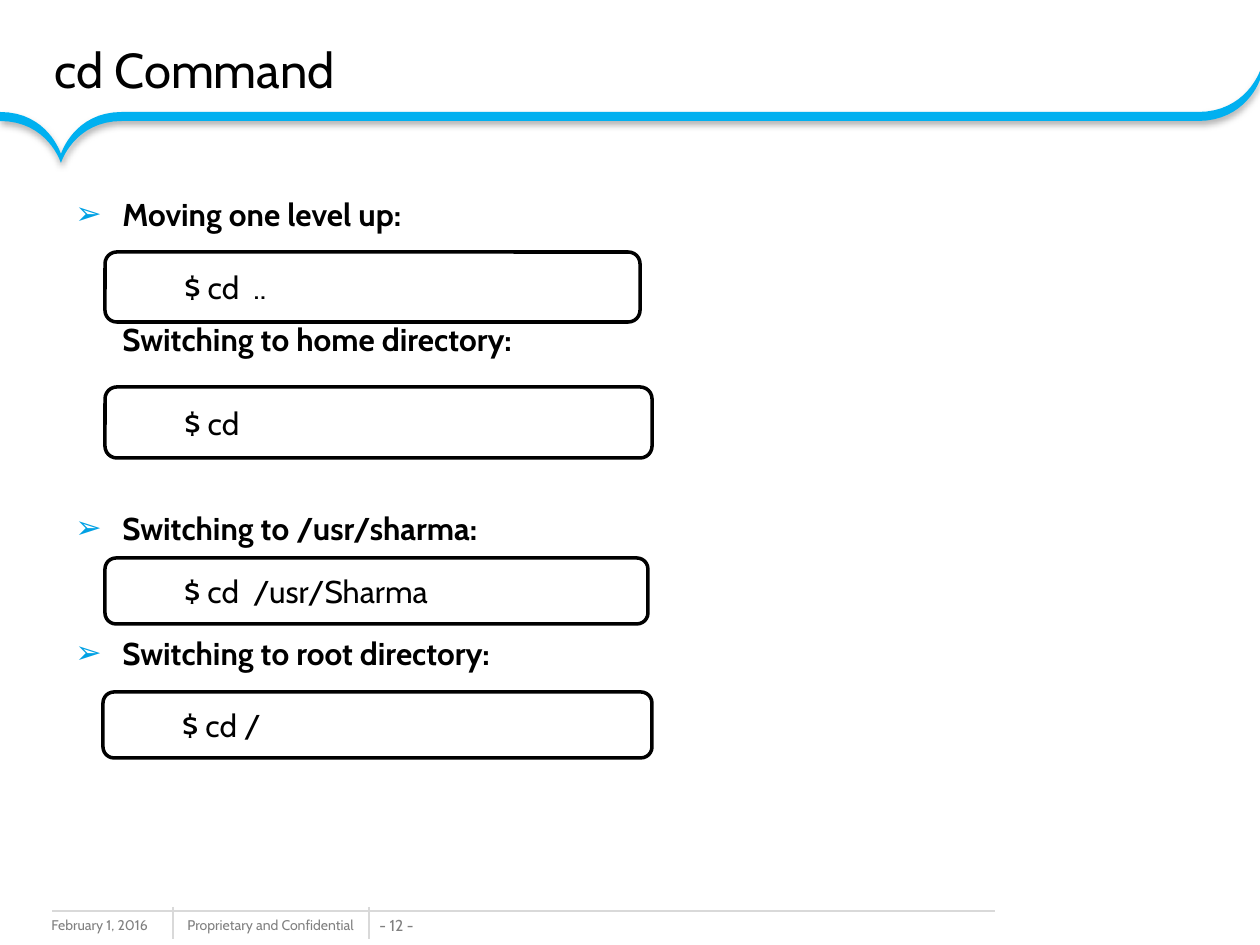
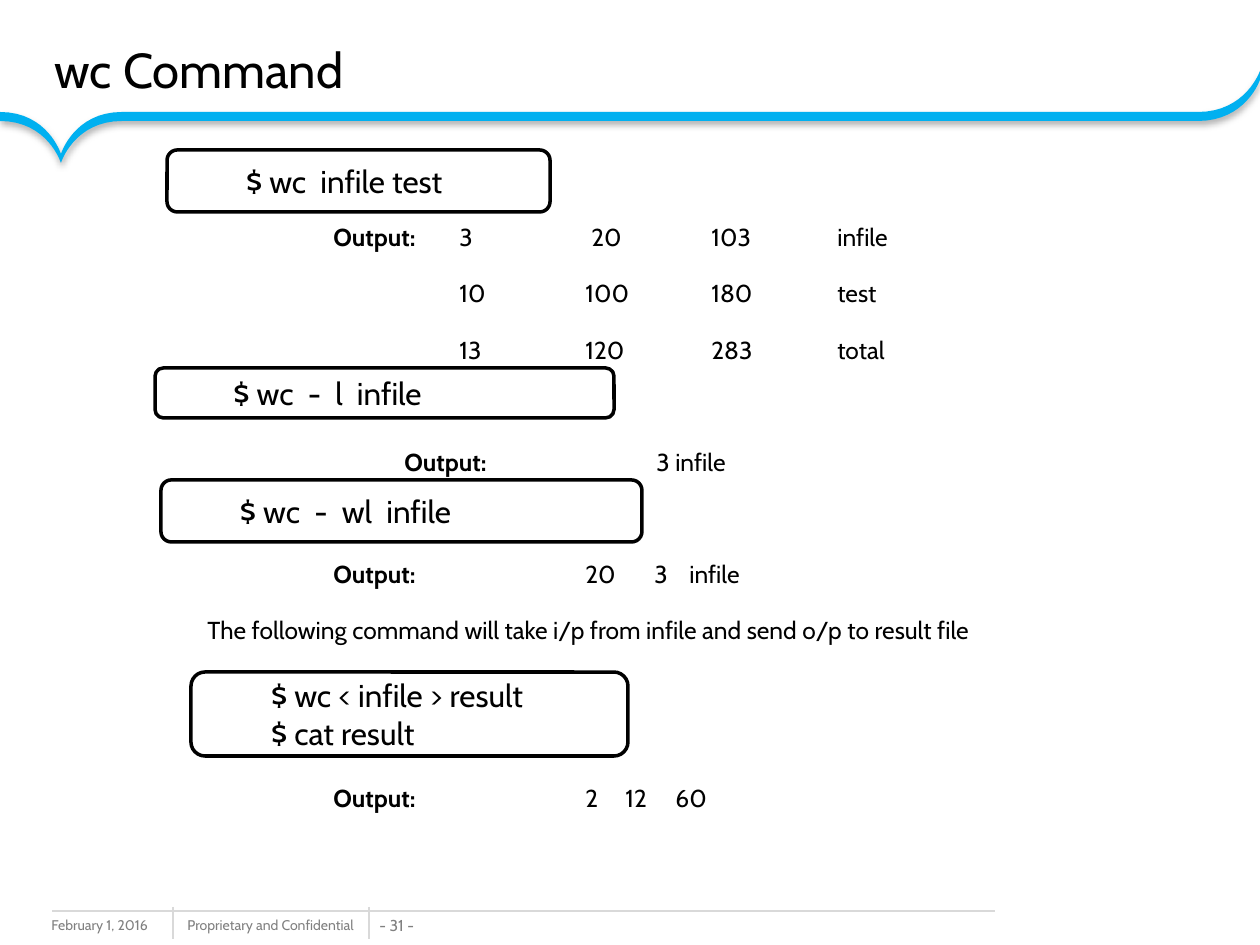
from dataclasses import dataclass

from lxml import etree
from pptx import Presentation
from pptx.dml.color import RGBColor
from pptx.enum.shapes import MSO_CONNECTOR, MSO_SHAPE
from pptx.enum.text import MSO_ANCHOR, MSO_AUTO_SIZE, PP_ALIGN
from pptx.oxml.ns import qn
from pptx.util import Pt

STRAIGHT = MSO_CONNECTOR.STRAIGHT
ROUNDED = MSO_SHAPE.ROUNDED_RECTANGLE
MIDDLE = MSO_ANCHOR.MIDDLE
TOP = MSO_ANCHOR.TOP
NO_FIT = MSO_AUTO_SIZE.NONE
LEFT = PP_ALIGN.LEFT


@dataclass(frozen=True)
class Theme:
    font: str = "Cabin"
    ink: str = "000000"
    paper: str = "FFFFFF"
    band: str = "00B0F0"
    bullet: str = "00A1E4"
    muted: str = "808080"
    rule: str = "D9D9D9"
    title: int = 28
    heading: int = 18
    output: int = 14
    page: int = 9
    footer: int = 8


theme = Theme()
SCALE = 914400 / 126  # EMU per pixel
TITLE_ONLY = 5
BAND_THICKNESS = 9
BEND_STEPS = 16
CODE_INDENT = 76
BODY_INSET = 13


def emu(*lengths):
    return [round(length * SCALE) for length in lengths]


def write(paragraph, text, size, color=theme.ink, bold=False):
    run = paragraph.add_run()
    run.text = text
    run.font.name = theme.font
    run.font.size = Pt(size)
    run.font.bold = bold
    run.font.color.rgb = RGBColor.from_string(color)


# Content. Code boxes: left, top, width, height, command lines
cd_page = {
    "title": "cd Command",
    "number": 12,
    "codes": [
        (105, 252, 535, 70, ["$ cd  .."]),
        (105, 387, 547, 71, ["$ cd"]),
        (105, 558, 543, 66, ["$ cd  /usr/Sharma"]),
        (103, 692, 549, 66, ["$ cd /"]),
    ],
}
wc_page = {
    "title": "wc Command",
    "number": 31,
    "codes": [
        (167, 150, 383, 62, ["$ wc  infile test"]),
        (155, 368, 459, 50, ["$ wc  -  l  infile"]),
        (161, 480, 481, 62, ["$ wc  -  wl  infile"]),
        (191, 672, 437, 84, ["$ wc < infile > result", "$ cat result"]),
    ],
}

# Headings: text, bulleted, space before in points
cd_headings = [
    ("Moving one level up:", True, 3.6),
    ("Switching to home directory:", False, 39.2),
    ("Switching to /usr/sharma:", True, 75.2),
    ("Switching to root directory:", True, 39.2),
]

# Outputs: space before in points, then (x, text) for each tab stop
wc_outputs = [
    (0, [(334, "Output:"), (460, "3"), (592, "20"), (712, "103"), (838, "infile")]),
    (3, [(460, "10"), (586, "100"), (712, "180"), (838, "test")]),
    (3, [(460, "13"), (586, "120"), (712, "283"), (838, "total")]),
    (35, [(405, "Output:"), (657, "3 infile")]),
    (35.5, [(334, "Output:"), (586, "20"), (655, "3"), (690, "infile")]),
    (2.8, [(208, "The following command will take i/p from infile "
                 "and send o/p to result file")]),
    (67, [(334, "Output:"), (586, "2"), (626, "12"), (676, "60")]),
]

# Upper edge of the band: each bend runs from a flat point to a tip
bends = [
    ((0, 112), (48, 112), (61, 154)),
    ((122, 112), (74, 112), (61, 154)),
    ((1198, 112), (1246, 112), (1260, 71)),
]
curves = []
for start, control, tip in bends:
    curve = []
    for step in range(BEND_STEPS + 1):
        t = step / BEND_STEPS
        weights = (1 - t) ** 3, 3 * t * (1 - t) ** 2, 3 * t * t * (1 - t) + t ** 3
        curve.append(tuple(
            sum(w * point[axis] for w, point in zip(weights, (start, control, tip)))
            for axis in (0, 1)))
    curves.append(curve)
upper_edge = curves[0] + curves[1][::-1] + curves[2]
lower_edge = [(x, y + BAND_THICKNESS) for x, y in reversed(upper_edge)]
band_outline = [emu(x, y) for x, y in upper_edge + lower_edge]

deck = Presentation()
deck.slide_width, deck.slide_height = emu(1260, 945)
slides = []

for page in (cd_page, wc_page):
    slide = deck.slides.add_slide(deck.slide_layouts[TITLE_ONLY])
    slides.append(slide)

    # Title
    title = slide.shapes.title
    title.left, title.top, title.width, title.height = emu(42, 14, 1134, 110)
    title.text_frame.auto_size = NO_FIT
    title.text_frame.vertical_anchor = MIDDLE
    heading = title.text_frame.paragraphs[0]
    heading.alignment = LEFT
    write(heading, page["title"], theme.title)

    # Band with a soft shadow
    builder = slide.shapes.build_freeform(*band_outline[0], scale=1.0)
    builder.add_line_segments(band_outline[1:], close=True)
    band = builder.convert_to_shape()
    band.fill.solid()
    band.fill.fore_color.rgb = RGBColor.from_string(theme.band)
    band.line.fill.background()
    band.shadow.inherit = False
    effects = band._element.spPr.find(qn("a:effectLst"))
    shadow = etree.SubElement(effects, qn("a:outerShdw"), blurRad=str(Pt(4)),
                              dist=str(Pt(2)), dir="5400000", rotWithShape="0")
    shade = etree.SubElement(shadow, qn("a:srgbClr"), val=theme.ink)
    etree.SubElement(shade, qn("a:alpha"), val="31000")

    # Footer texts and rules
    for left, width, text, size in (
        (39, 168, "February 1, 2016", theme.footer),
        (175, 198, "Proprietary and Confidential", theme.footer),
        (367, 70, f"- {page['number']} -", theme.page),
    ):
        footer = slide.shapes.add_textbox(*emu(left, 910, width, 32)).text_frame
        footer.word_wrap = False
        footer.vertical_anchor = TOP
        write(footer.paragraphs[0], text, size, theme.muted)
    for ends in ((173, 907, 173, 939), (369, 907, 369, 939), (995, 911, 52, 911)):
        rule = slide.shapes.add_connector(STRAIGHT, *emu(*ends))
        rule.line.color.rgb = RGBColor.from_string(theme.rule)
        rule.line.width = Pt(0.75)
        etree.SubElement(rule._element.spPr, qn("a:effectLst"))

cd_slide, wc_slide = slides

# Headings of the cd slide
headings = cd_slide.shapes.add_textbox(*emu(63, 170, 1134, 674)).text_frame
headings.word_wrap = True
for index, (text, bulleted, gap) in enumerate(cd_headings):
    paragraph = headings.add_paragraph() if index else headings.paragraphs[0]
    paragraph.line_spacing = 1.5
    paragraph.space_before = Pt(gap)
    properties = paragraph._p.get_or_add_pPr()
    hang = emu(47)[0]
    properties.set("marL", str(hang))
    properties.set("indent", str(-hang if bulleted else 0))
    if bulleted:
        tint = etree.SubElement(properties, qn("a:buClr"))
        etree.SubElement(tint, qn("a:srgbClr"), val=theme.bullet)
        etree.SubElement(properties, qn("a:buFont"), typeface="Arial")
        etree.SubElement(properties, qn("a:buChar"), char="\u27a2")
    write(paragraph, text, theme.heading, bold=True)

# Outputs of the wc slide, set on tab stops
outputs_left = 38
outputs = wc_slide.shapes.add_textbox(*emu(outputs_left, 195, 1134, 640)).text_frame
outputs.word_wrap = True
for index, (gap, cells) in enumerate(wc_outputs):
    paragraph = outputs.add_paragraph() if index else outputs.paragraphs[0]
    paragraph.line_spacing = Pt(29)
    paragraph.space_before = Pt(gap)
    stops = etree.SubElement(paragraph._p.get_or_add_pPr(), qn("a:tabLst"))
    for x, text in cells:
        position = emu(x - outputs_left - BODY_INSET)[0]
        etree.SubElement(stops, qn("a:tab"), pos=str(position), algn="l")
        write(paragraph, "\t" + text, theme.output, bold=text == "Output:")

# Code boxes
for slide, page in zip(slides, (cd_page, wc_page)):
    for left, top, width, height, commands in page["codes"]:
        code = slide.shapes.add_shape(ROUNDED, *emu(left, top, width, height))
        code.adjustments[0] = 0.167
        code.shadow.inherit = False
        code.fill.solid()
        code.fill.fore_color.rgb = RGBColor.from_string(theme.paper)
        code.line.color.rgb = RGBColor.from_string(theme.ink)
        code.line.width = Pt(2)
        frame = code.text_frame
        frame.word_wrap = True
        frame.vertical_anchor = MIDDLE
        frame.margin_left = emu(CODE_INDENT)[0]
        for index, command in enumerate(commands):
            paragraph = frame.add_paragraph() if index else frame.paragraphs[0]
            paragraph.alignment = LEFT
            write(paragraph, command, theme.heading)

deck.save("out.pptx")
